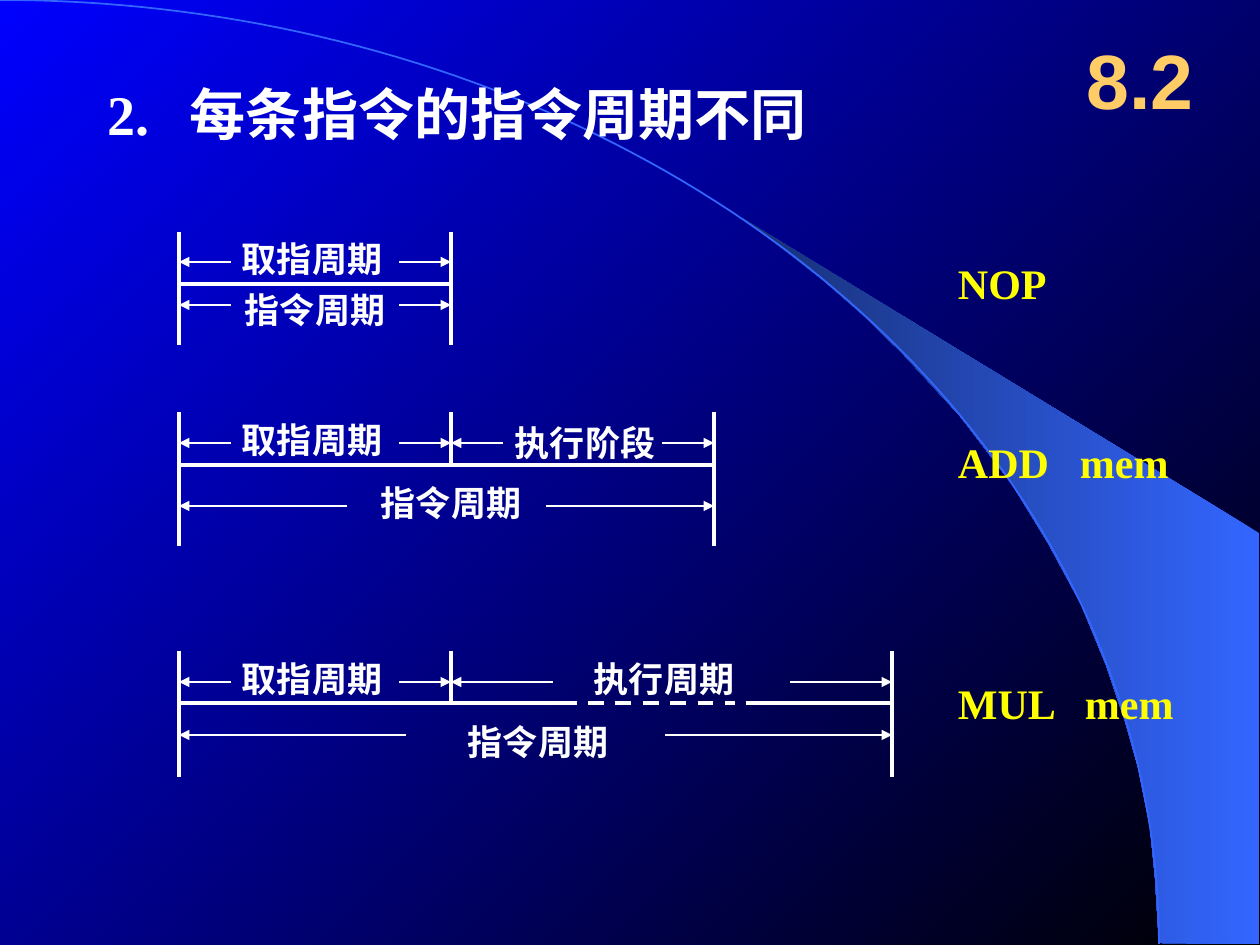
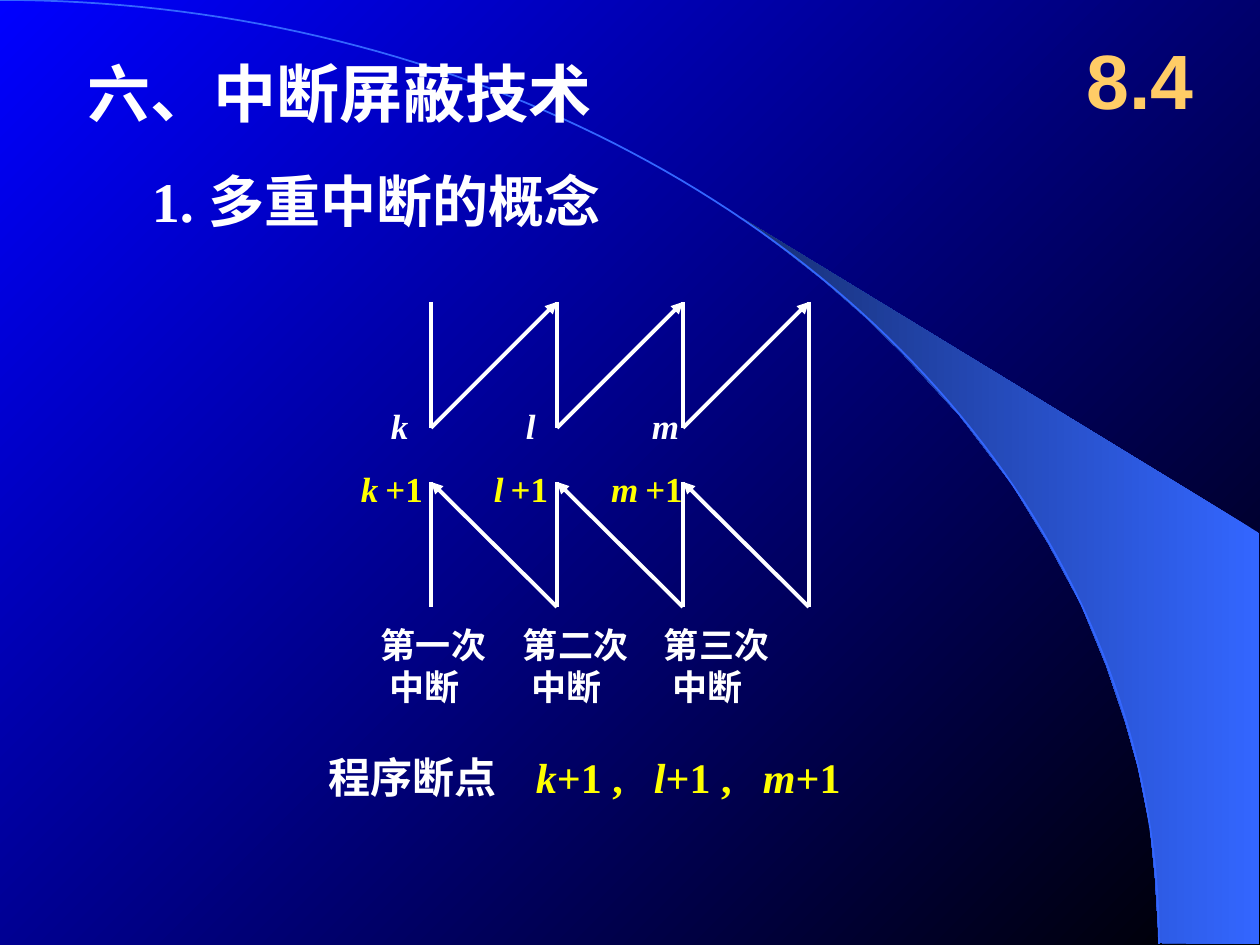
from math import cos, pi, sin

from lxml.etree import SubElement
from pptx import Presentation
from pptx.dml.color import RGBColor
from pptx.enum.dml import MSO_LINE
from pptx.enum.shapes import MSO_CONNECTOR
from pptx.enum.text import MSO_ANCHOR, MSO_AUTO_SIZE, PP_ALIGN
from pptx.oxml.ns import qn
from pptx.util import Pt

WHITE = RGBColor(0xFF, 0xFF, 0xFF)
YELLOW = RGBColor(0xFF, 0xFF, 0x00)
ORANGE = RGBColor(0xFF, 0xCC, 0x66)
BLACK = RGBColor(0x00, 0x00, 0x00)
BLUE = RGBColor(0x00, 0x00, 0xFF)
SKY = RGBColor(0x33, 0x66, 0xFF)
NAVY = RGBColor(0x17, 0x2F, 0x75)

PX = 914400 / 126
INSET = (13, 6)
LABEL_H = 55
THICK, THIN = 2.25, 0.75

ARC_W, ARC_H, ARC_STEPS = 1159, 944, 90
BEAM = [(1159, 943), (1259, 944), (1259, 533), (742, 218), (786, 251), (823, 280),
        (863, 315), (902, 353), (960, 416), (1012, 484), (1048, 543), (1081, 604),
        (1106, 665), (1125, 721), (1138, 767), (1150, 827), (1155, 877), (1159, 943)]

START, FETCHED, ADD_END, MUL_END = 179, 451, 714, 892
INSTRUCTIONS = [
    dict(code="NOP", code_top=252, operand_tab=122,
         axis=(284, [(START, FETCHED, False)]),
         bars=[(START, 232, 345), (FETCHED, 232, 345)],
         spans=[("取指周期", (229, 231), START, FETCHED, 262, 52),
                ("指令周期", (232, 282), START, FETCHED, 305, 52)]),
    dict(code="ADD\tmem", code_top=431, operand_tab=122,
         axis=(465, [(START, ADD_END, False)]),
         bars=[(START, 412, 546), (FETCHED, 412, 464), (ADD_END, 412, 546)],
         spans=[("取指周期", (229, 412), START, FETCHED, 443, 52),
                ("执行阶段", (502, 415), FETCHED, ADD_END, 443, 52),
                ("指令周期", (368, 475), START, ADD_END, 506, 168)]),
    dict(code="MUL\tmem", code_top=672, operand_tab=127,
         axis=(703, [(START, 577, False), (588, 735, True), (746, MUL_END, False)]),
         bars=[(START, 651, 777), (FETCHED, 651, 703), (MUL_END, 651, 777)],
         spans=[("取指周期", (229, 651), START, FETCHED, 682, 52),
                ("执行周期", (581, 651), FETCHED, MUL_END, 682, 102),
                ("指令周期", (455, 714), START, MUL_END, 735, 227)]),
]

INTERRUPTS = [
    dict(point="k", point_box=(378, 43), next_box=(348, 87), order="第一次", order_left=368),
    dict(point="l", point_box=(513, 34), next_box=(481, 79), order="第二次", order_left=510),
    dict(point="m", point_box=(639, 52), next_box=(598, 97), order="第三次", order_left=651),
]
FIRST_X, STEP = 431, 126
CALL_TOP, CALL_BOTTOM, RETURN_TOP, RETURN_BOTTOM = 302, 428, 482, 607
ITALIC = dict(italic=True)
BREAKPOINTS = [("程序断点\t", dict(color=WHITE)),
               ("k", ITALIC), ("+1 ,\t", {}),
               ("l", ITALIC), ("+1 ,\t", {}),
               ("m", ITALIC), ("+1", {})]


def emu(*lengths):
    return [round(length * PX) for length in lengths]


def style_font(font, size=None, color=None, italic=None):
    if size:
        font.size = Pt(size)
    if color is not None:
        font.color.rgb = color
    if italic is not None:
        font.italic = italic


def write(shape, box, lines, size, color=WHITE, face="Times New Roman", italic=None,
          wrap=False, inset=INSET, anchor=MSO_ANCHOR.TOP, align=PP_ALIGN.LEFT,
          tabs=(), indents=()):
    shape.left, shape.top, shape.width, shape.height = emu(*box)
    frame = shape.text_frame
    frame.auto_size = MSO_AUTO_SIZE.NONE
    frame.word_wrap = wrap
    frame.vertical_anchor = anchor
    frame.margin_left, frame.margin_top = emu(*inset)
    frame.margin_right, frame.margin_bottom = emu(*inset)
    for number, line in enumerate(lines):
        paragraph = frame.paragraphs[0] if number == 0 else frame.add_paragraph()
        paragraph.alignment = align
        properties = paragraph._p.get_or_add_pPr()
        if indents:
            properties.set("marL", str(emu(indents[number])[0]))
        if tabs:
            stops = SubElement(properties, qn("a:tabLst"))
            for stop in emu(*tabs):
                SubElement(stops, qn("a:tab"), pos=str(stop), algn="l")
        paragraph.font.name = face
        paragraph.font.bold = True
        style_font(paragraph.font, size, color, italic)
        for words, changes in [(line, {})] if isinstance(line, str) else line:
            run = paragraph.add_run()
            run.text = words
            style_font(run.font, **changes)


def add_text(slide, box, lines, size, **options):
    write(slide.shapes.add_textbox(0, 0, 0, 0), box, lines, size, **options)


def add_line(slide, x1, y1, x2, y2, width=THICK, arrow=False, dashed=False):
    line = slide.shapes.add_connector(MSO_CONNECTOR.STRAIGHT, *emu(x1, y1, x2, y2))
    line.line.color.rgb = WHITE
    line.line.width = Pt(width)
    if dashed:
        line.line.dash_style = MSO_LINE.DASH
    outline = line.line._get_or_add_ln()
    if arrow:
        SubElement(outline, qn("a:tailEnd"), type="triangle")
    SubElement(outline.getparent(), qn("a:effectLst"))


def set_gradient(fill, angle, *colors):
    fill.gradient()
    fill.gradient_angle = angle
    for stop, color in zip(fill.gradient_stops, colors):
        stop.color.rgb = color


def add_outline(slide, points, close):
    start, *others = [emu(*point) for point in points]
    builder = slide.shapes.build_freeform(*start)
    builder.add_line_segments(others, close=close)
    shape = builder.convert_to_shape()
    shape.shadow.inherit = False
    return shape


def decorate(layout, slide):
    set_gradient(layout.background.fill, 135, BLACK, BLUE)
    beam = add_outline(slide, BEAM, True)
    set_gradient(beam.fill, 180, SKY, NAVY)
    beam.line.fill.background()
    angles = [pi / 2 * step / ARC_STEPS for step in range(ARC_STEPS + 1)]
    arc = add_outline(slide, [(ARC_W * sin(a), ARC_H * (1 - cos(a))) for a in angles], False)
    arc.fill.background()
    arc.line.color.rgb = SKY
    arc.line.width = Pt(1)
    for place, shape in enumerate((beam, arc), 2):
        layout.shapes.element.insert(place, shape.element)


def add_section(slide, number):
    add_text(slide, (1061, 21, 158, 116), [number], 44, color=ORANGE, face="Arial",
             wrap=True, anchor=MSO_ANCHOR.MIDDLE, align=PP_ALIGN.CENTER)


def build_cycles(slide):
    write(slide.shapes.title, (94, 73, 788, 81), ["2.\t每条指令的指令周期不同"], 32,
          wrap=True, tabs=[83])
    for instruction in INSTRUCTIONS:
        axis_y, pieces = instruction["axis"]
        for left, right, dashed in pieces:
            add_line(slide, left, axis_y, right, axis_y, dashed=dashed)
        for x, top, bottom in instruction["bars"]:
            add_line(slide, x, top, x, bottom)
        for phase, corner, left, right, y, arm in instruction["spans"]:
            add_text(slide, (*corner, 165, LABEL_H), [phase], 20)
            add_line(slide, left + arm, y, left, y, THIN, arrow=True)
            add_line(slide, right - arm, y, right, y, THIN, arrow=True)
        add_text(slide, (945, instruction["code_top"], 315, 63), [instruction["code"]], 24,
                 color=YELLOW, wrap=True, tabs=[instruction["operand_tab"]])
    add_section(slide, "8.2")


def build_interrupts(slide):
    write(slide.shapes.title, (74, 48, 580, 88), ["六、中断屏蔽技术"], 36, wrap=True)
    add_text(slide, (152, 171, 446, 59), ["1. 多重中断的概念"], 32,
             inset=(0, 0), anchor=MSO_ANCHOR.MIDDLE)
    for number, interrupt in enumerate(INTERRUPTS):
        x = FIRST_X + number * STEP
        add_line(slide, x, CALL_TOP, x, CALL_BOTTOM)
        add_line(slide, x, CALL_BOTTOM, x + STEP, CALL_TOP, arrow=True)
        add_line(slide, x + STEP, RETURN_BOTTOM, x, RETURN_TOP, arrow=True)
        add_line(slide, x, RETURN_TOP, x, RETURN_BOTTOM)
        point = interrupt["point"]
        left, width = interrupt["point_box"]
        add_text(slide, (left, 398, width, LABEL_H), [point], 20, italic=True)
        left, width = interrupt["next_box"]
        add_text(slide, (left, 461, width, LABEL_H),
                 [[(point, ITALIC), (" ", dict(size=16)), ("+1", {})]], 20, color=YELLOW)
        add_text(slide, (interrupt["order_left"], 617, 130, 97),
                 [interrupt["order"], "中断"], 20, indents=(0, 9))
    last_x = FIRST_X + len(INTERRUPTS) * STEP
    add_line(slide, last_x, CALL_TOP, last_x, RETURN_BOTTOM)
    add_text(slide, (316, 746, 607, 63), [BREAKPOINTS], 24, color=YELLOW, wrap=True,
             tabs=[207, 325, 434])
    add_section(slide, "8.4")


def main():
    deck = Presentation()
    deck.slide_width, deck.slide_height = emu(1260, 945)
    layout = deck.slide_layouts[5]
    cycles = deck.slides.add_slide(layout)
    decorate(layout, cycles)
    build_cycles(cycles)
    build_interrupts(deck.slides.add_slide(layout))
    deck.save("out.pptx")


if __name__ == "__main__":
    main()
